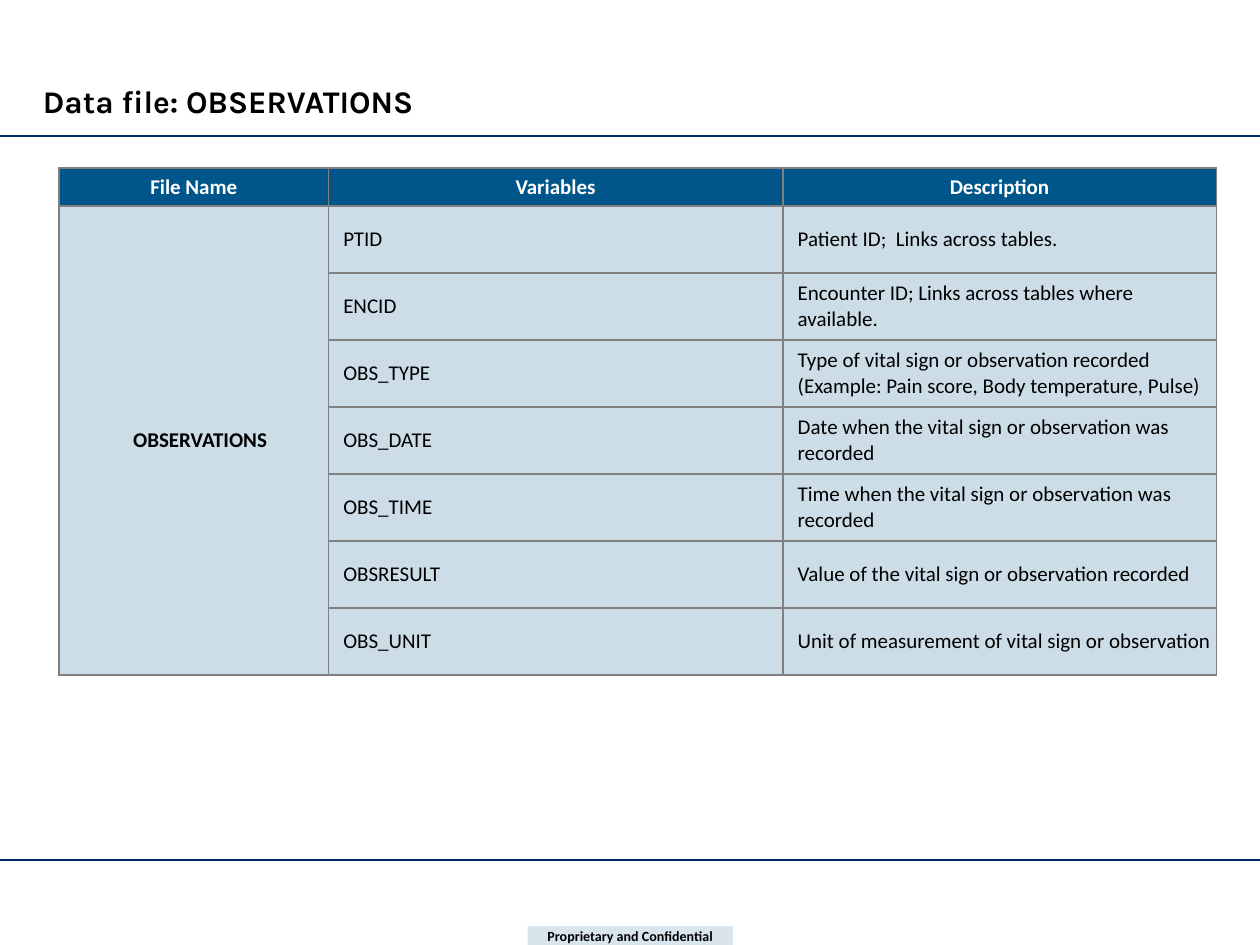
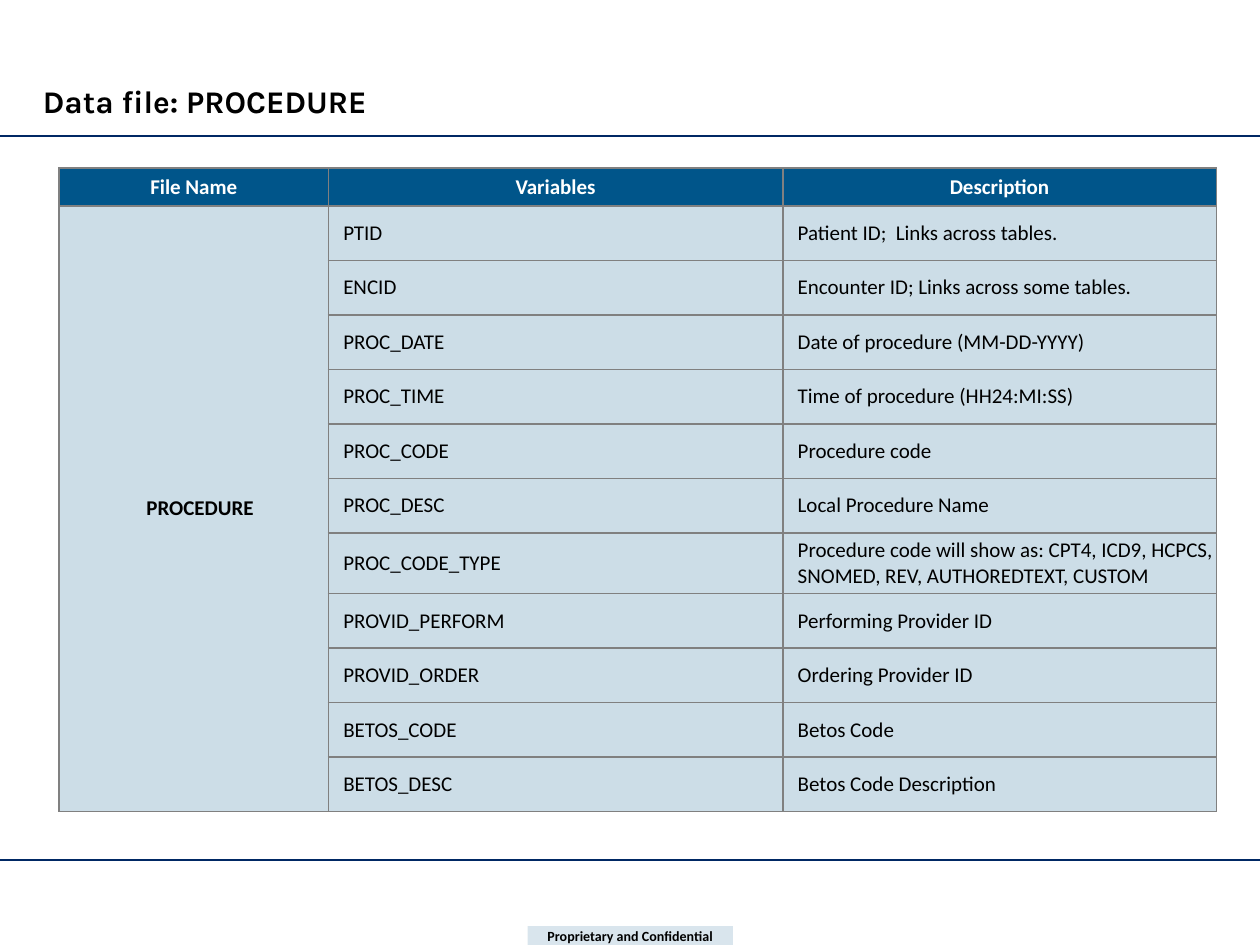
import pptx
import pptx.util
import pptx.dml.color
import pptx.enum.shapes
import pptx.enum.text
import pptx.oxml
import pptx.oxml.ns
from lxml import etree

Pt = pptx.util.Pt
qn = pptx.oxml.ns.qn
CENTER = pptx.enum.text.PP_ALIGN.CENTER
LEFT = pptx.enum.text.PP_ALIGN.LEFT
MIDDLE = pptx.enum.text.MSO_ANCHOR.MIDDLE

BLUE, NAVY, GRAY = "00558A", "002864", "808080"
BLACK, WHITE = "000000", "FFFFFF"
HEADS = ["File Name", "Variables", "Description"]
WIDTHS = [153.9, 259.7, 247.7]

# File name, row height, variables with their descriptions
FILES = [
    ("OBSERVATIONS", 38.3, [
        ("PTID", "Patient ID;  Links across tables."),
        ("ENCID", "Encounter ID; Links across tables where available."),
        ("OBS_TYPE", "Type of vital sign or observation recorded "
                     "(Example: Pain score, Body temperature, Pulse)"),
        ("OBS_DATE", "Date when the vital sign or observation was recorded"),
        ("OBS_TIME", "Time when the vital sign or observation was recorded"),
        ("OBSRESULT", "Value of the vital sign or observation recorded"),
        ("OBS_UNIT", "Unit of measurement of vital sign or observation"),
    ]),
    ("PROCEDURE", 31.15, [
        ("PTID", "Patient ID;  Links across tables."),
        ("ENCID", "Encounter ID; Links across some tables."),
        ("PROC_DATE", "Date of procedure (MM-DD-YYYY)"),
        ("PROC_TIME", "Time of procedure (HH24:MI:SS)"),
        ("PROC_CODE", "Procedure code"),
        ("PROC_DESC", "Local Procedure Name"),
        ("PROC_CODE_TYPE", "Procedure code will show as: CPT4, ICD9, HCPCS, "
                           "SNOMED, REV, AUTHOREDTEXT, CUSTOM"),
        ("PROVID_PERFORM", "Performing Provider ID"),
        ("PROVID_ORDER", "Ordering Provider ID"),
        ("BETOS_CODE", "Betos Code"),
        ("BETOS_DESC", "Betos Code Description"),
    ]),
]


def paint(part, code, alpha=100):
    """Give a fill, line or font a solid colour; alpha is for fills."""
    if hasattr(part, "solid"):
        part.solid()
        part.fore_color.rgb = pptx.dml.color.RGBColor.from_string(code)
        if alpha < 100:
            tint = part._xPr.find(qn("a:solidFill"))[0]
            etree.SubElement(tint, qn("a:alpha"), val=str(alpha * 1000))
    else:
        part.color.rgb = pptx.dml.color.RGBColor.from_string(code)


def write(frame, text, face, size, code, bold, align):
    frame.text = text
    line = frame.paragraphs[0]
    line.alignment = align
    line.font.name = face
    line.font.size = Pt(size)
    line.font.bold = bold
    paint(line.font, code)


deck = pptx.Presentation()
deck.slide_width, deck.slide_height = Pt(720), Pt(540)

for name, height, fields in FILES:
    slide = deck.slides.add_slide(deck.slide_layouts[5])

    # Rules below the title and above the footer
    for y in (491.5, 77.7):
        rule = slide.shapes.add_connector(
            pptx.enum.shapes.MSO_CONNECTOR.STRAIGHT, Pt(0), Pt(y), Pt(720), Pt(y))
        paint(rule.line, NAVY)
        rule.line.width = Pt(0.75)
        etree.SubElement(rule._element.spPr, qn("a:effectLst"))

    # Footer label
    label = slide.shapes.add_shape(
        pptx.enum.shapes.MSO_SHAPE.RECTANGLE, Pt(301.5), Pt(529.2), Pt(117.4), Pt(10.8))
    label.shadow.inherit = False
    paint(label.fill, BLUE, 15)
    label.line.fill.background()
    frame = label.text_frame
    frame.margin_left = frame.margin_right = Pt(0.7)
    frame.margin_top = frame.margin_bottom = Pt(0.7)
    frame.vertical_anchor = MIDDLE
    write(frame, "Proprietary and Confidential", "Calibri", 8, BLACK, True, CENTER)

    # Title
    title = slide.shapes.title
    title.left, title.top, title.width, title.height = Pt(17.3), Pt(43.2), Pt(684), Pt(28.8)
    title.text_frame.auto_size = pptx.enum.text.MSO_AUTO_SIZE.NONE
    title.text_frame.vertical_anchor = pptx.enum.text.MSO_ANCHOR.BOTTOM
    write(title.text_frame, "Data file: " + name, "Karla", 18, BLACK, True, LEFT)

    # Table grid
    count = len(fields)
    table = slide.shapes.add_table(
        count + 1, 3, Pt(33.8), Pt(96), Pt(sum(WIDTHS)), Pt(21.7 + count * height)).table
    for col, width in zip(table.columns, WIDTHS):
        col.width = Pt(width)
    for row in table.rows:
        row.height = Pt(height)
    table.rows[0].height = Pt(21.7)
    table.cell(1, 0).merge(table.cell(count, 0))

    # Table cells
    rows = [HEADS] + [("" if i else name, *pair) for i, pair in enumerate(fields)]
    for r, texts in enumerate(rows):
        for c, text in enumerate(texts):
            cell = table.cell(r, c)
            head = r == 0
            field = not head and c > 0
            cell.vertical_anchor = MIDDLE
            cell.margin_left = Pt(0 if head else 8.5 if field else 7.2)
            cell.margin_right = Pt(0)
            cell.margin_top = cell.margin_bottom = Pt(2.8 if field else 0)
            for side in ("lnL", "lnR", "lnT", "lnB"):
                edge = etree.SubElement(
                    cell._tc.get_or_add_tcPr(), qn("a:" + side), w=str(Pt(1)))
                solid = etree.SubElement(edge, qn("a:solidFill"))
                etree.SubElement(solid, qn("a:srgbClr"), val=GRAY)
            paint(cell.fill, BLUE, 100 if head else 20)
            if text:
                write(cell.text_frame, text, "Calibri", 12, WHITE if head else BLACK,
                      not field, LEFT if field else CENTER)

deck.save("out.pptx")
